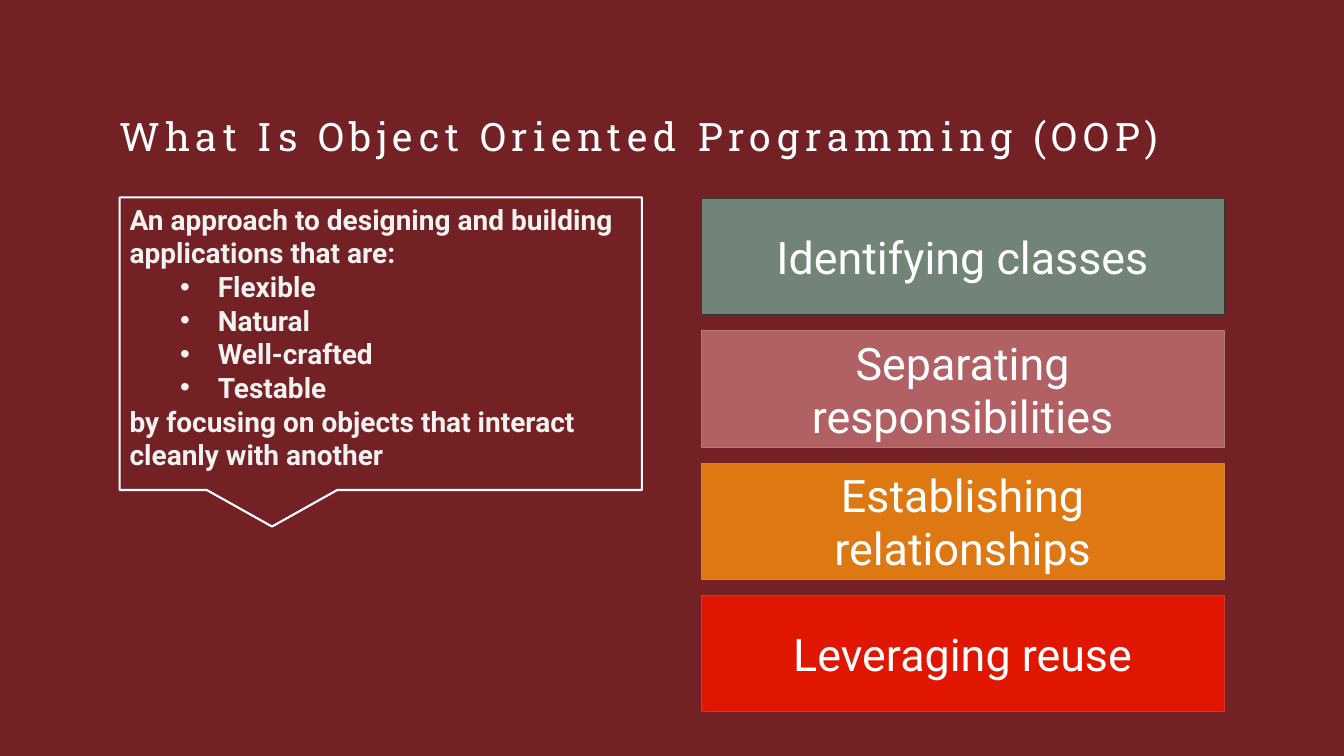
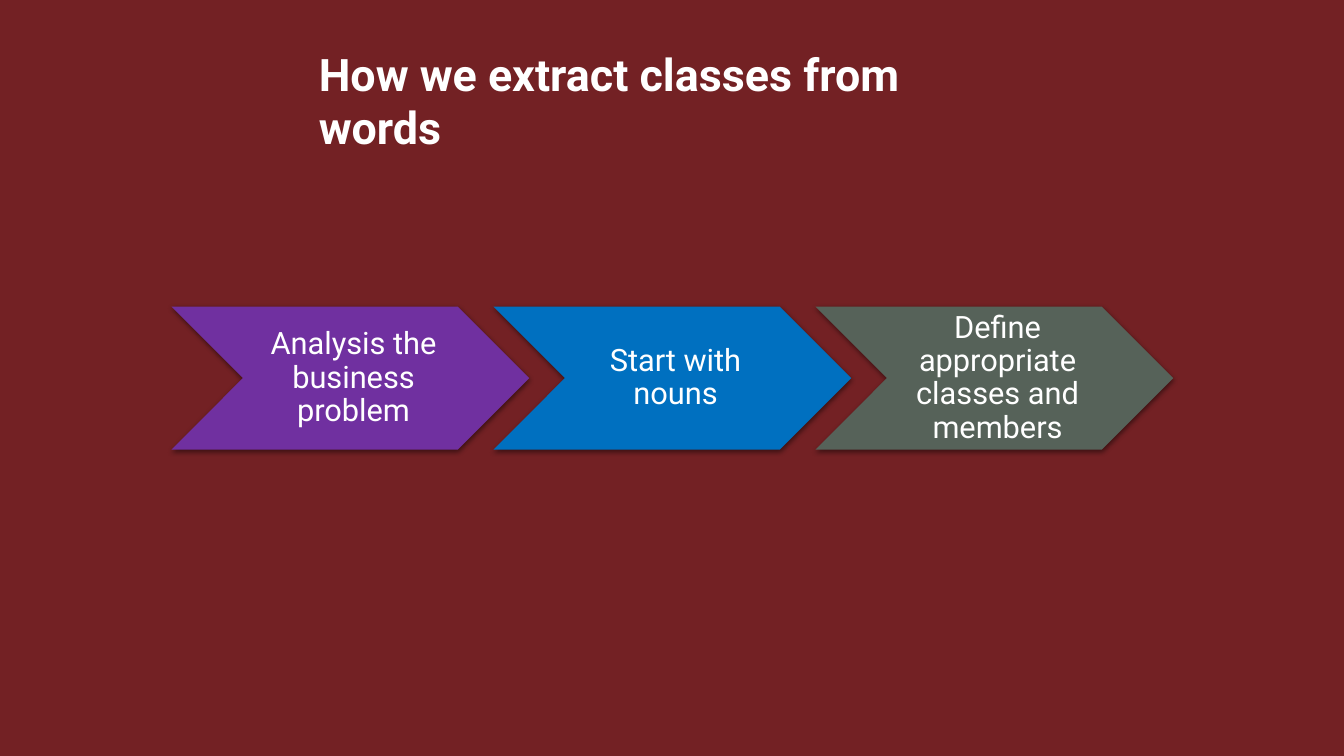
import pptx
import pptx.dml.color
import pptx.enum.shapes
import pptx.enum.text
import pptx.oxml
import pptx.oxml.ns
import pptx.util

Pt = pptx.util.Pt
RGBColor = pptx.dml.color.RGBColor
SHAPE = pptx.enum.shapes.MSO_SHAPE
ALIGN = pptx.enum.text.PP_ALIGN
ANCHOR = pptx.enum.text.MSO_ANCHOR

MAROON = RGBColor(0x73, 0x21, 0x24)
WHITE = RGBColor(0xFF, 0xFF, 0xFF)
OFF_WHITE = RGBColor(0xF2, 0xF2, 0xF2)
SAGE = RGBColor(0x72, 0x83, 0x77)
CHARCOAL = RGBColor(0x32, 0x39, 0x34)
ROSE = RGBColor(0xB1, 0x60, 0x63)
ROSE_EDGE = RGBColor(0xB4, 0x79, 0x7B)
ORANGE = RGBColor(0xDD, 0x78, 0x12)
ORANGE_EDGE = RGBColor(0xCE, 0x84, 0x39)
RED = RGBColor(0xE1, 0x16, 0x01)
RED_EDGE = RGBColor(0xCF, 0x3A, 0x2A)
PURPLE = RGBColor(0x70, 0x30, 0xA0)
BLUE = RGBColor(0x00, 0x70, 0xC0)
MOSS = RGBColor(0x56, 0x62, 0x59)

BODY_FONT = "Roboto"
TITLE_FONT = "Roboto Slab"
DEFAULT_INSETS = (7.2, 3.6, 7.2, 3.6)
DRAWING_NS = pptx.oxml.ns.nsdecls("a")


class SlideBuilder:
    def __init__(self):
        self.deck = pptx.Presentation()
        self.deck.slide_width = Pt(960)
        self.deck.slide_height = Pt(540)
        fill = self.deck.slide_master.background.fill
        fill.solid()
        fill.fore_color.rgb = MAROON
        self.page = None

    def add_page(self):
        self.page = self.deck.slides.add_slide(self.deck.slide_layouts[5])

    def style_frame(self, frame, anchor, align, insets=DEFAULT_INSETS):
        frame.word_wrap = True
        frame.auto_size = pptx.enum.text.MSO_AUTO_SIZE.NONE
        frame.vertical_anchor = anchor
        (frame.margin_left, frame.margin_top,
         frame.margin_right, frame.margin_bottom) = map(Pt, insets)
        for para in frame.paragraphs:
            para.alignment = align

    def style_runs(self, frame, size, color=WHITE, bold=False, font=BODY_FONT, tracking=0):
        for para in frame.paragraphs:
            for span in para.runs:
                span.font.name = font
                span.font.size = Pt(size)
                span.font.bold = bold
                span.font.color.rgb = color
                if tracking:
                    span._r.get_or_add_rPr().set("spc", str(tracking * 100))

    def add_title(self, text, area, insets=DEFAULT_INSETS, **run_style):
        title = self.page.shapes.title
        title.left, title.top, title.width, title.height = map(Pt, area)
        title.text_frame.text = text
        self.style_frame(title.text_frame, ANCHOR.TOP, ALIGN.LEFT, insets)
        self.style_runs(title.text_frame, **run_style)

    def add_box(self, kind, area, fill=None, line=None, line_width=0.75):
        box = self.page.shapes.add_shape(kind, *map(Pt, area))
        box.shadow.inherit = False
        if fill is None:
            box.fill.background()
        else:
            box.fill.solid()
            box.fill.fore_color.rgb = fill
        if line is None:
            box.line.fill.background()
        else:
            box.line.color.rgb = line
            box.line.width = Pt(line_width)
        return box

    def add_bullet(self, para):
        para.level = 1
        properties = para._p.get_or_add_pPr()
        properties.set("marL", str(Pt(63)))
        properties.set("indent", str(Pt(-27)))
        for tag in ('buFont {} typeface="Arial"', 'buChar {} char="•"'):
            properties.append(pptx.oxml.parse_xml(f"<a:{tag.format(DRAWING_NS)}/>"))

    def add_callout(self, area, opening, bullets, closing):
        box = self.add_box(SHAPE.RECTANGULAR_CALLOUT, area, line=WHITE, line_width=1.5)
        frame = box.text_frame
        frame.text = "\n".join([opening, *bullets, closing])
        self.style_frame(frame, ANCHOR.TOP, ALIGN.LEFT)
        for para in frame.paragraphs[1:-1]:
            self.add_bullet(para)
        self.style_runs(frame, 20, OFF_WHITE, bold=True)

    def add_tile(self, text, area, fill, line):
        box = self.add_box(SHAPE.RECTANGLE, area, fill, line)
        box.text_frame.text = text
        self.style_frame(box.text_frame, ANCHOR.MIDDLE, ALIGN.CENTER)
        self.style_runs(box.text_frame, 32)

    def add_shadow(self, box):
        effects = box._element.spPr.find(pptx.oxml.ns.qn("a:effectLst"))
        effects.append(pptx.oxml.parse_xml(
            f'<a:outerShdw {DRAWING_NS} blurRad="{Pt(3.5)}" dist="{Pt(1.1)}" '
            'dir="5400000" rotWithShape="0"><a:srgbClr val="000000">'
            '<a:alpha val="45000"/></a:srgbClr></a:outerShdw>'))

    def add_step(self, text, area, fill):
        box = self.add_box(SHAPE.CHEVRON, area, fill)
        self.add_shadow(box)
        box.text_frame.text = text
        self.style_frame(box.text_frame, ANCHOR.MIDDLE, ALIGN.CENTER, (7, 2.3, 2.3, 2.3))
        box.text_frame.paragraphs[0].line_spacing = 0.9
        self.style_runs(box.text_frame, 22)


def build_definition(builder):
    builder.add_page()
    builder.add_title("What Is Object Oriented Programming (OOP)", (85, 80, 790, 52),
                      insets=(0, 0, 0, 0), size=28, font=TITLE_FONT, tracking=4)
    builder.add_callout(
        (85.5, 141, 373, 209),
        "An approach to designing and building applications that are:",
        ["Flexible", "Natural", "Well-crafted", "Testable"],
        "by focusing on objects that interact cleanly with another")
    tiles = [
        ("Identifying classes", SAGE, CHARCOAL),
        ("Separating responsibilities", ROSE, ROSE_EDGE),
        ("Establishing relationships", ORANGE, ORANGE_EDGE),
        ("Leveraging reuse", RED, RED_EDGE),
    ]
    for index, (text, fill, line) in enumerate(tiles):
        builder.add_tile(text, (500.8, 142 + 94.4 * index, 373.7, 83), fill, line)


def build_extraction(builder):
    builder.add_page()
    builder.add_title("How we extract classes from words", (220.5, 29.5, 519, 46),
                      size=32, bold=True)
    steps = [
        ("Analysis the business problem", PURPLE),
        ("Start with nouns", BLUE),
        ("Define appropriate classes and members", MOSS),
    ]
    for index, (text, fill) in enumerate(steps):
        builder.add_step(text, (122.4, 219, 255.6, 102.2), fill) if index == 0 else \
            builder.add_step(text, (122.4 + 230 * index, 219, 255.6, 102.2), fill)


def main():
    builder = SlideBuilder()
    build_definition(builder)
    build_extraction(builder)
    builder.deck.save("out.pptx")


if __name__ == "__main__":
    main()
